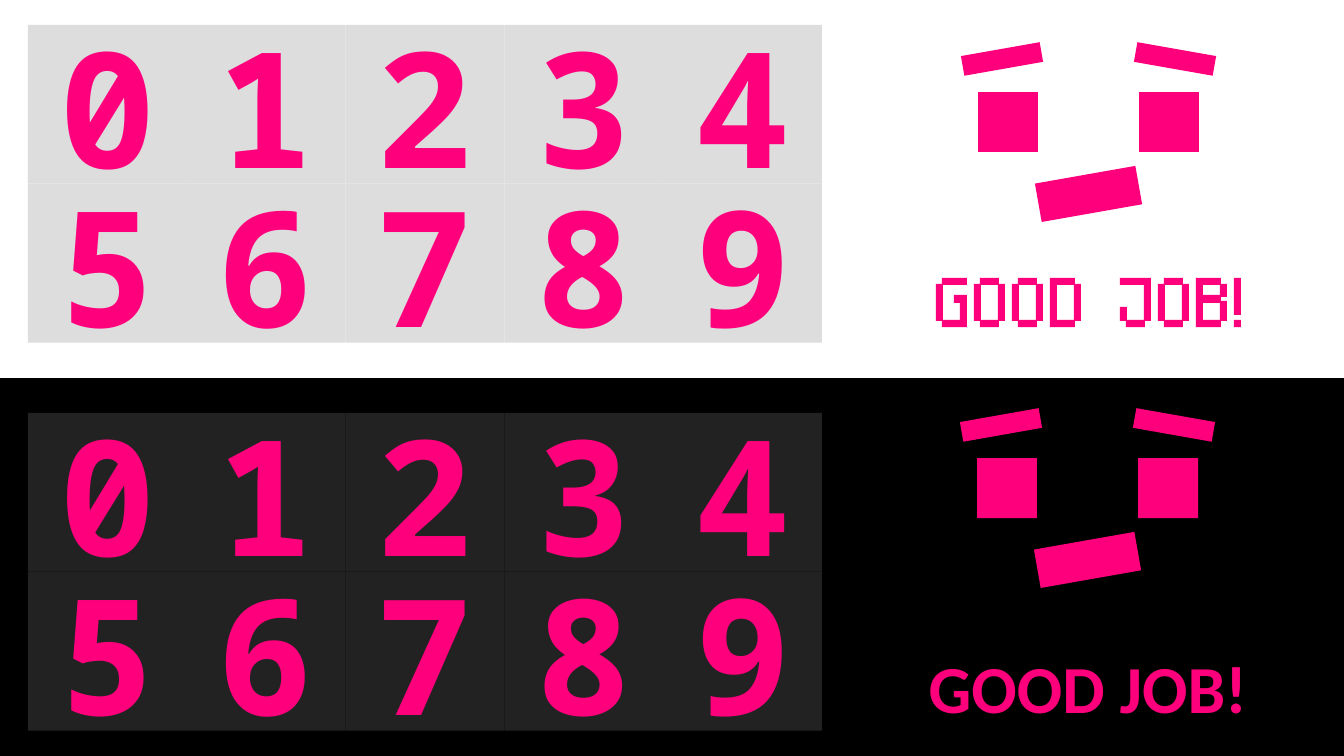
from dataclasses import dataclass

from pptx import Presentation
from pptx.dml.color import RGBColor
from pptx.enum.shapes import MSO_SHAPE
from pptx.enum.text import MSO_ANCHOR, MSO_AUTO_SIZE, PP_ALIGN
from pptx.util import Pt

RECT = MSO_SHAPE.RECTANGLE
MIDDLE = MSO_ANCHOR.MIDDLE
CENTER = PP_ALIGN.CENTER
FIT_SHAPE = MSO_AUTO_SIZE.SHAPE_TO_FIT_TEXT
EMU_PER_PX = 914400 / 100.8


@dataclass(frozen=True)
class Theme:
    pink: str = "FF007D"
    white: str = "FFFFFF"
    black: str = "000000"
    light_tile: str = "DDDDDD"
    dark_tile: str = "222222"
    digit_font: str = "Noto Sans Mono"
    caption_font: str = "Calibri"
    digit_size: int = 115
    caption_size: int = 48


THEME = Theme()


def box(x1, y1, x2, y2):
    return [(x1, y1), (x2, y1), (x2, y2), (x1, y2)]


# Pixel letters: closed outlines on a 31 x 49 cell, holes included
COUNTER = box(7, 7, 24, 42)
RIGHT_CURVE = [(25, 0), (25, 6), (31, 6), (31, 43), (25, 43), (25, 49)]
LEFT_CURVE = [(6, 49), (6, 43), (0, 43), (0, 6), (6, 6), (6, 0)]
GLYPHS = {
    "G": [[(31, 0), (31, 7), (7, 7), (7, 42), (24, 42), (24, 25), (18, 25),
           (18, 17), (31, 17), (31, 49)] + LEFT_CURVE],
    "O": [RIGHT_CURVE + LEFT_CURVE, COUNTER],
    "D": [RIGHT_CURVE + [(0, 49), (0, 0)], COUNTER],
    "J": [[(0, 0), (31, 0), (31, 43), (25, 43), (25, 49), (6, 49), (6, 43),
           (0, 43), (0, 29), (7, 29), (7, 42), (24, 42), (24, 7), (0, 7)]],
    "B": [RIGHT_CURVE[:3] + [(31, 19), (25, 19), (25, 23), (31, 23)]
          + RIGHT_CURVE[3:] + [(0, 49), (0, 0)],
          box(7, 7, 24, 17), box(7, 25, 24, 42)],
    "!": [box(0, 0, 7, 37), box(0, 42, 7, 49)],
}
LETTER_PITCH, SPACE_WIDTH = 38, 32

# Face parts: left, top, width, height, rotation
FACE = [
    (978, 92, 60, 60, 180),    # left eye
    (1139, 92, 60, 60, 180),   # right eye
    (1069, 143, 39, 102, 80),  # mouth
    (992, 19, 20, 80, 80),     # left brow
    (1165, 19, 20, 80, 100),   # right brow
]


def px(n):
    return round(n * EMU_PER_PX)


def rgb(color):
    return RGBColor.from_string(color)


def paint(sp, color):
    sp.shadow.inherit = False
    sp.fill.solid()
    sp.fill.fore_color.rgb = rgb(color)
    sp.line.fill.background()


def add_rect(shapes, x, y, w, h, color, rotation=0):
    sp = shapes.add_shape(RECT, px(x), px(y), px(w), px(h))
    paint(sp, color)
    sp.rotation = rotation
    return sp


def set_text(sp, text, font, size):
    p = sp.text_frame.paragraphs[0]
    p.text = text
    p.alignment = CENTER
    r = p.runs[0]
    r.font.name = font
    r.font.size = Pt(size)
    r.font.bold = True
    r.font.color.rgb = rgb(THEME.pink)


def add_digits(shapes, x, y, width, color, columns=5):
    side = width / columns
    for digit in range(10):
        row, col = divmod(digit, columns)
        sp = add_rect(shapes, x + col * side, y + row * side, side, side, color)
        sp.text_frame.vertical_anchor = MIDDLE
        set_text(sp, str(digit), THEME.digit_font, THEME.digit_size)


def add_face(shapes, dx=0, dy=0):
    group = shapes.add_group_shape()
    for x, y, w, h, rotation in FACE:
        add_rect(group.shapes, x + dx, y + dy, w, h, THEME.pink, rotation)
    return group


def add_caption(shapes, text, x, y, w, h):
    sp = shapes.add_textbox(px(x), px(y), px(w), px(h))
    sp.text_frame.word_wrap = True
    sp.text_frame.auto_size = FIT_SHAPE
    set_text(sp, text, THEME.caption_font, THEME.caption_size)


def add_pixel_lettering(shapes, text, x, y):
    outlines = []
    for char in text:
        for outline in GLYPHS.get(char, []):
            outlines.append([(x + gx, y + gy) for gx, gy in outline])
        x += SPACE_WIDTH if char == " " else LETTER_PITCH
    builder = shapes.build_freeform(*outlines[0][0], scale=EMU_PER_PX)
    builder.add_line_segments(outlines[0][1:], close=True)
    for outline in outlines[1:]:
        builder.move_to(*outline[0])
        builder.add_line_segments(outline[1:], close=True)
    paint(builder.convert_to_shape(), THEME.pink)


def main():
    prs = Presentation()
    prs.slide_width, prs.slide_height = px(1344), px(756)
    slide = prs.slides.add_slide(prs.slide_layouts[6])
    slide.background.fill.solid()
    slide.background.fill.fore_color.rgb = rgb(THEME.pink)
    shapes = slide.shapes

    # Dark and light halves
    dark = add_rect(shapes, 0, 378, 1344, 378, THEME.black)
    dark.line.color.rgb = rgb(THEME.black)
    dark.line.width = Pt(1)
    add_rect(shapes, 0, 0, 1344, 378, THEME.white)

    # Digit grids
    add_digits(shapes, 28, 25, 794, THEME.light_tile)
    add_digits(shapes, 28, 413, 794, THEME.dark_tile)

    # Faces and their praise
    add_face(shapes)
    dark_face = add_face(shapes, -1, 366)
    add_caption(dark_face.shapes, "GOOD JOB!", 836, 641, 504, 92)
    add_pixel_lettering(shapes, "GOOD JOB!", 936, 278)

    prs.save("out.pptx")


main()
